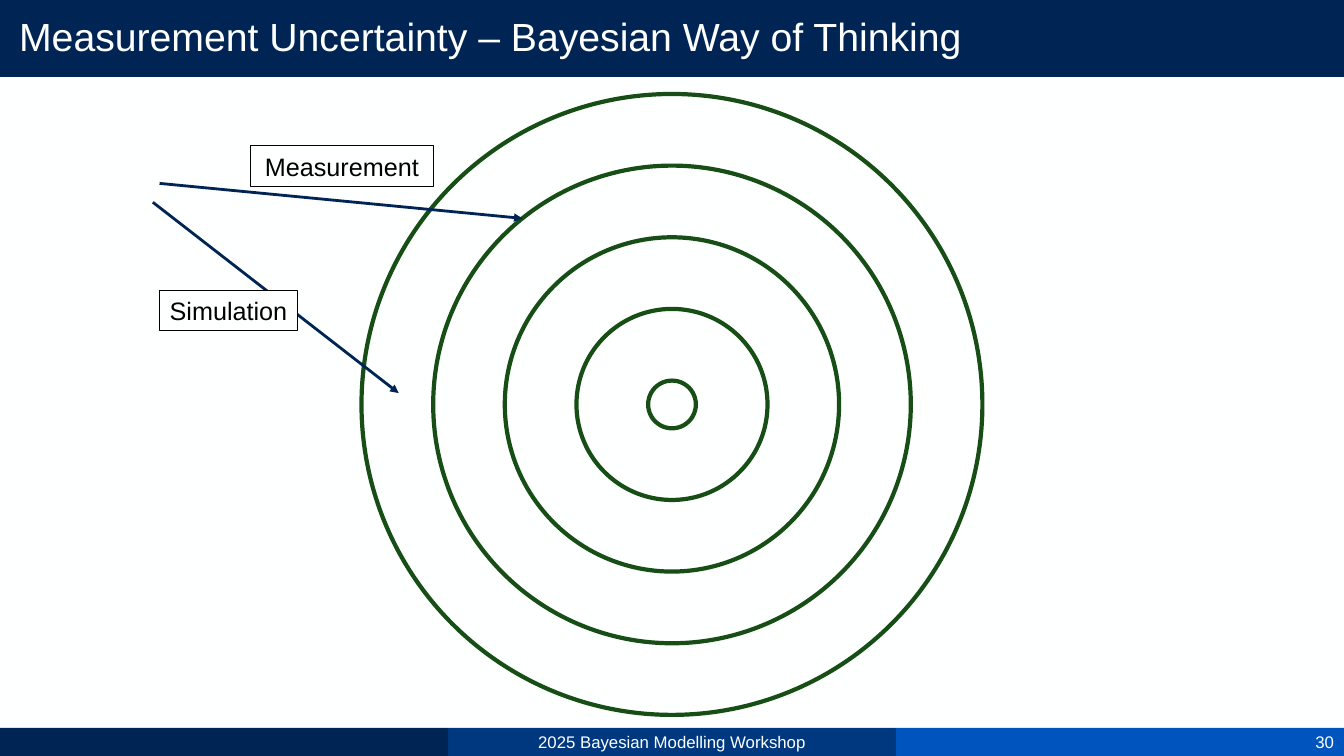
from lxml.etree import SubElement
from pptx import Presentation
from pptx.dml.color import RGBColor
from pptx.enum.shapes import MSO_CONNECTOR, MSO_SHAPE
from pptx.enum.text import MSO_ANCHOR, MSO_AUTO_SIZE, PP_ALIGN
from pptx.oxml.ns import qn
from pptx.util import Pt

WIDTH, HEIGHT = 960, 540
NAVY, BLUE, BRIGHT_BLUE = "002554", "00387F", "0054BE"
WHITE, GREEN, BLACK = "FEFFFF", "164E16", "000000"


def color(value):
    return RGBColor.from_string(value)


def write(shape, text, size, text_color, align, anchor=MSO_ANCHOR.MIDDLE):
    frame = shape.text_frame
    frame.text = text
    frame.word_wrap = True
    frame.auto_size = MSO_AUTO_SIZE.NONE
    frame.vertical_anchor = anchor
    paragraph = frame.paragraphs[0]
    paragraph.alignment = align
    paragraph.font.name = "Arial"
    paragraph.font.size = Pt(size)
    paragraph.font.color.rgb = color(text_color)
    return paragraph


def add_area(slide, kind, left, top, width, height, fill, line=None, line_width=0):
    area = slide.shapes.add_shape(kind, Pt(left), Pt(top), Pt(width), Pt(height))
    area.shadow.inherit = False
    area.fill.solid()
    area.fill.fore_color.rgb = color(fill)
    if line:
        area.line.color.rgb = color(line)
        area.line.width = Pt(line_width)
    else:
        area.line.fill.background()
    return area


def add_bar(slide, left, top, width, height, fill):
    add_area(slide, MSO_SHAPE.RECTANGLE, left, top, width, height, fill)


def add_footer_text(slide, text, left, width, align):
    footer = slide.shapes.add_textbox(Pt(left), Pt(519.2), Pt(width), Pt(21.8))
    write(footer, text, 12, WHITE, align)


def add_title(slide, text):
    title = slide.shapes.title
    title.left, title.top, title.width, title.height = Pt(6.5), Pt(3), Pt(946), Pt(49)
    write(title, text, 28, WHITE, PP_ALIGN.LEFT).line_spacing = 0.9
    # Bring the title in front of the header bar
    title.element.getparent().append(title.element)


def add_rings(slide, center_x, center_y, outer, step, count):
    for index in range(count):
        diameter = outer - index * step
        add_area(slide, MSO_SHAPE.OVAL, center_x - diameter / 2, center_y - diameter / 2,
                 diameter, diameter, WHITE, GREEN, 3)


def add_arrow(slide, start, end):
    arrow = slide.shapes.add_connector(MSO_CONNECTOR.STRAIGHT, *map(Pt, start + end))
    arrow.line.color.rgb = color(NAVY)
    arrow.line.width = Pt(2)
    SubElement(arrow.line._get_or_add_ln(), qn("a:tailEnd"), type="triangle")
    SubElement(arrow.element.spPr, qn("a:effectLst"))


def add_label(slide, text, left, top, width):
    label = add_area(slide, MSO_SHAPE.RECTANGLE, left, top, width, 29, WHITE, BLACK, 0.75)
    write(label, text, 18, BLACK, PP_ALIGN.CENTER, MSO_ANCHOR.TOP)
    label.text_frame.word_wrap = False


def main():
    deck = Presentation()
    deck.slide_width, deck.slide_height = Pt(WIDTH), Pt(HEIGHT)
    slide = deck.slides.add_slide(deck.slide_layouts[5])
    slide.background.fill.solid()
    slide.background.fill.fore_color.rgb = color(WHITE)

    # Header and footer
    add_bar(slide, 0, 0, WIDTH, 55, NAVY)
    third = WIDTH / 3
    for index, fill in enumerate([NAVY, BLUE, BRIGHT_BLUE]):
        add_bar(slide, index * third, 520, third, 20, fill)
    add_footer_text(slide, "2025 Bayesian Modelling Workshop", third, third, PP_ALIGN.CENTER)
    add_footer_text(slide, "30", 915.5, 44.5, PP_ALIGN.RIGHT)
    add_title(slide, "Measurement Uncertainty – Bayesian Way of Thinking")

    # Target
    add_rings(slide, 480, 288.9, outer=443.5, step=102.35, count=5)

    # Shots at the target, each with its label
    add_arrow(slide, (109.2, 144.5), (284.8, 280.8))
    add_label(slide, "Simulation", 113.8, 207.4, 98.8)
    add_arrow(slide, (114, 131), (373.2, 156))
    add_label(slide, "Measurement", 179, 104.2, 130.5)

    deck.save("out.pptx")


if __name__ == "__main__":
    main()
